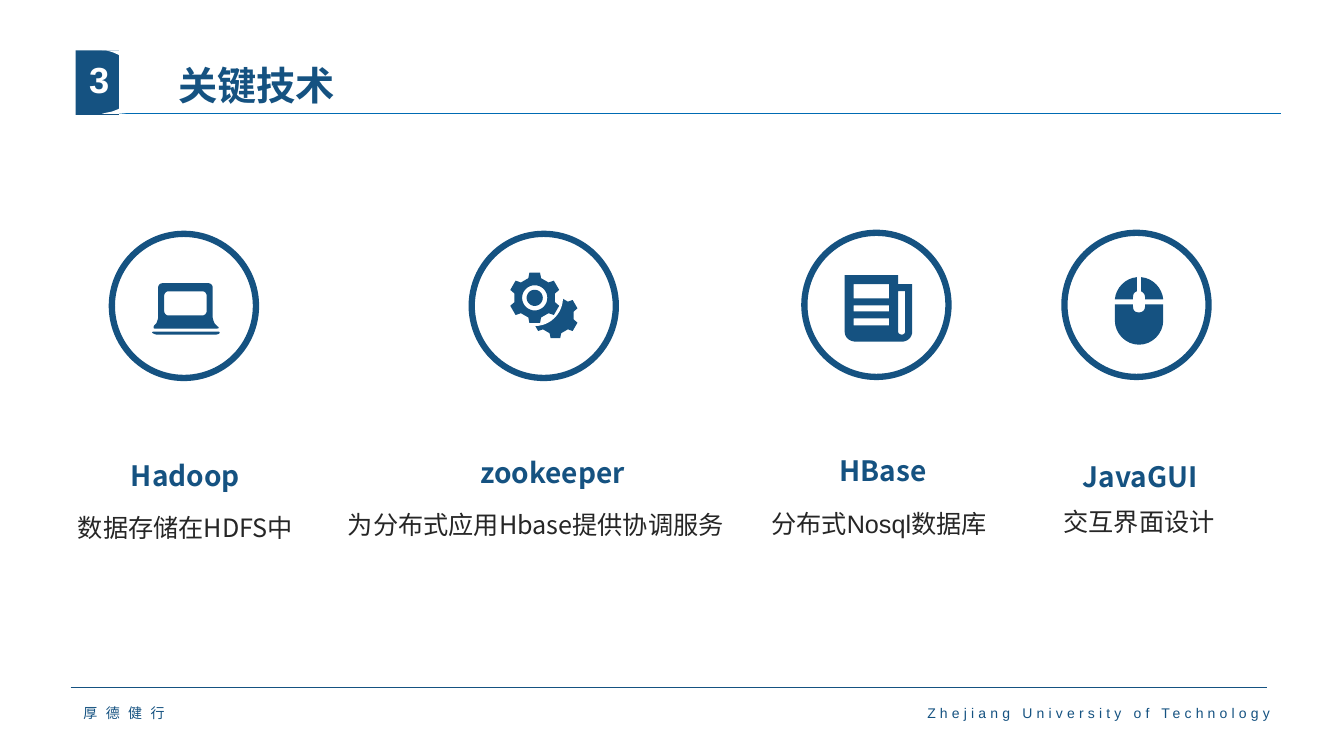
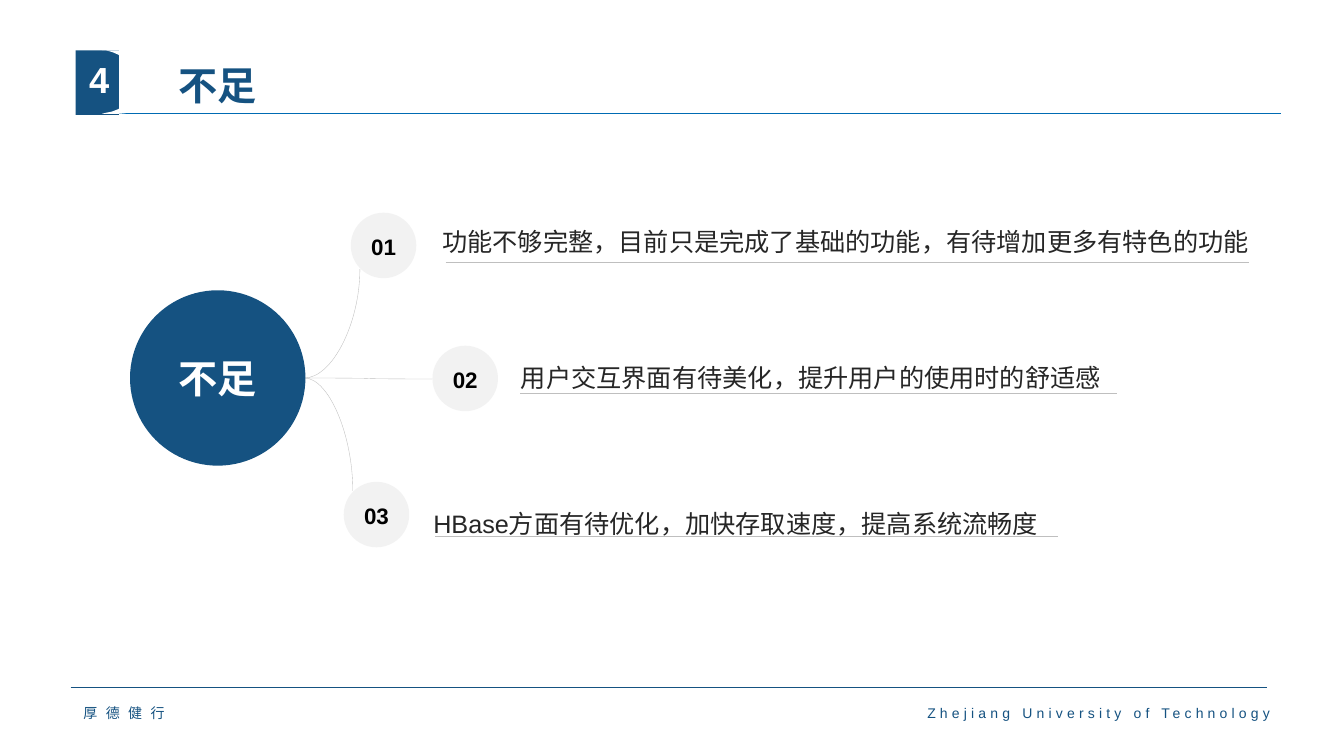
import math
import lxml.etree
import pptx
import pptx.dml.color
import pptx.enum.shapes
import pptx.enum.text
import pptx.oxml.ns
import pptx.util

COLORS = {
    "navy": "155281",
    "blue": "006BB3",
    "white": "FFFFFF",
    "ink": "262626",
    "black": "000000",
    "gray": "BFBFBF",
    "pale": "F2F2F2",
}
SANS = "Arial"
CJK = "Noto Sans CJK SC"
ALIGN = pptx.enum.text.PP_ALIGN
ANCHOR = pptx.enum.text.MSO_ANCHOR
SHAPE = pptx.enum.shapes.MSO_SHAPE
CONNECTOR = pptx.enum.shapes.MSO_CONNECTOR
rgb = {name: pptx.dml.color.RGBColor.from_string(value) for name, value in COLORS.items()}

deck = pptx.Presentation()
deck.slide_height = pptx.util.Inches(7.5)
cell = deck.slide_height // 75
deck.slide_width = int(cell * 133.33)


def add_box(page, spot, text="", size=18, color="ink", font=SANS, bold=False, align=ALIGN.LEFT,
            anchor=ANCHOR.TOP, leading=1.0, tracking=0, side=1, kind=None, fill=None, ring=0):
    spot = [int(cell * number) for number in spot]
    if kind is None:
        box = page.shapes.add_textbox(*spot)
    else:
        box = page.shapes.add_shape(kind, *spot)
        box.shadow.inherit = False
        if fill:
            box.fill.solid()
            box.fill.fore_color.rgb = rgb[fill]
        else:
            box.fill.background()
        if ring:
            box.line.color.rgb = rgb[color]
            box.line.width = pptx.util.Pt(ring)
        else:
            box.line.fill.background()
    if text:
        frame = box.text_frame
        frame.word_wrap = True
        frame.vertical_anchor = anchor
        frame.margin_left = frame.margin_right = int(cell * side)
        frame.text = text
        para = frame.paragraphs[0]
        para.alignment = align
        para.line_spacing = leading
        span = para.runs[0]
        span.font.size = pptx.util.Pt(size)
        span.font.bold = bold
        span.font.color.rgb = rgb[color]
        span.font.name = font
        props = span.font._element
        lxml.etree.SubElement(props, pptx.oxml.ns.qn("a:ea"), typeface=CJK)
        if tracking:
            props.set("spc", str(tracking * 100))


def add_outline(page, contours, fill):
    builder = None
    for contour in contours:
        points = []
        for step in contour:
            if len(step) == 2:
                points.append(step)
                continue
            corners = [points[-1], step[0:2], step[2:4], step[4:6]]
            for tick in range(1, 9):
                t = tick / 8
                weights = [math.comb(3, k) * t**k * (1 - t) ** (3 - k) for k in range(4)]
                points.append([sum(w * c[axis] for w, c in zip(weights, corners)) for axis in (0, 1)])
        points = [(cell * x, cell * y) for x, y in points]
        if builder is None:
            builder = page.shapes.build_freeform(*points[0])
        else:
            builder.move_to(*points[0])
        builder.add_line_segments(points[1:], close=True)
    outline = builder.convert_to_shape()
    outline.shadow.inherit = False
    outline.fill.solid()
    outline.fill.fore_color.rgb = rgb[fill]
    outline.line.fill.background()


shared_rules = [
    ("line", 7.6, 11.2, 127.1, 11.2, "blue", 0.25),
    ("line", 7, 68.2, 125.7, 68.2, "navy", 0.5),
]
branches = [
    ("curvedConnector2", 30.2, 37.5, 35.7, 26.7, "gray", 0.25),
    ("curvedConnector3", 30.2, 37.5, 42.9, 37.6, "gray", 0.25),
    ("curvedConnector2", 30.2, 37.5, 35, 48.7, "gray", 0.25),
]
underlines = [
    ("line", left, row, right, row, "gray", 0.25)
    for left, row, right in [(44.2, 26, 123.9), (51.6, 39, 110.8), (43.2, 53.2, 105)]
]
tab_curve = [
    (10.1, 5), (11.7, 5), (13.7, 5, 15.4, 6.4, 15.4, 8.1), (15.4, 9.9, 13.7, 11.3, 11.7, 11.3),
    (10.1, 11.3), (10.5, 11.2), (12.2, 11, 13.5, 9.7, 13.5, 8.1), (13.5, 6.6, 12.2, 5.3, 10.5, 5),
]

pages = []
for number, title, own_rules in [("3", "关键技术", []), ("4", "不足", branches + underlines)]:
    page = deck.slides.add_slide(deck.slide_layouts[6])
    pages.append(page)
    for geometry, x1, y1, x2, y2, color, width in shared_rules + own_rules:
        kind = CONNECTOR.STRAIGHT if geometry == "line" else CONNECTOR.CURVE
        rule = page.shapes.add_connector(kind, *(int(cell * n) for n in (x1, y1, x2, y2)))
        rule.line.color.rgb = rgb[color]
        rule.line.width = pptx.util.Pt(width)
        props = rule._element.spPr
        props.find(pptx.oxml.ns.qn("a:prstGeom")).set("prst", geometry)
        lxml.etree.SubElement(props, pptx.oxml.ns.qn("a:effectLst"))
    add_box(page, (7.5, 5, 4.3, 6.4), kind=SHAPE.RECTANGLE, fill="navy")
    add_outline(page, [tab_curve], "white")
    add_box(page, (16.7, 4.9, 109.3, 6.4), title, 28, "navy", bold=True,
            anchor=ANCHOR.BOTTOM, leading=0.9)
    add_box(page, (7.3, 5.9, 5.1, 4.7), number, 25.9, "white", bold=True,
            align=ALIGN.CENTER, anchor=ANCHOR.MIDDLE, leading=0.8)
    add_box(page, (7.3, 69.5, 29.7, 2.4), "厚德健行", 10, "navy", CJK,
            anchor=ANCHOR.MIDDLE, tracking=6)
    add_box(page, (85, 69.5, 41, 2.4), "Zhejiang University of Technology", 10, "navy",
            align=ALIGN.RIGHT, anchor=ANCHOR.MIDDLE, tracking=3, side=0)

tech_page, gaps_page = pages

technologies = [
    ("Hadoop", "数据存储在HDFS中", CJK, 11.1, 23.2, (-2.2, 44.2), (1.3, 49.6)),
    ("zookeeper", "为分布式应用Hbase提供协调服务", CJK, 46.8, 23.2, (34.2, 43.9), (32.2, 49.3)),
    ("HBase", "分布式Nosql数据库", SANS, 79.8, 23.1, (67, 43.7), (70.1, 49.2)),
    ("JavaGUI", "交互界面设计", SANS, 105.6, 23.1, (92.5, 44.3), (95.9, 49)),
]
for name, role, font, left, top, name_spot, role_spot in technologies:
    role_width = 41.9 if name == "zookeeper" else 34.2
    add_box(tech_page, (left, top, 14.3, 14.3), color="navy", kind=SHAPE.OVAL, ring=4.5)
    add_box(tech_page, (*name_spot, 41.2, 4.8), name, 20, "navy", CJK, True, ALIGN.CENTER, leading=1.25)
    add_box(tech_page, (*role_spot, role_width, 4.5), role, font=font, align=ALIGN.CENTER, leading=1.25)

laptop = [
    [(15.4, 32.9), (21.5, 32.9), (21.7, 32.9, 21.8, 32.9, 21.8, 33),
     (21.8, 33.1, 21.6, 33.2, 21.4, 33.2), (15.6, 33.2),
     (15.4, 33.2, 15.2, 33.1, 15.1, 33), (15.1, 32.9, 15.2, 32.9, 15.4, 32.9)],
    [(16.7, 28.9), (16.5, 28.9, 16.3, 29.1, 16.3, 29.3), (16.3, 30.9),
     (16.3, 31.1, 16.5, 31.3, 16.7, 31.3), (20.1, 31.3),
     (20.3, 31.3, 20.5, 31.1, 20.5, 30.9), (20.5, 29.3), (20.5, 29.1, 20.3, 28.9, 20.1, 28.9)],
    [(16.1, 28.1), (20.7, 28.1), (20.9, 28.1, 21.1, 28.3, 21.1, 28.5), (21.1, 31.4),
     (21.1, 31.6, 21.2, 31.9, 21.3, 32.1), (21.6, 32.4), (21.8, 32.5, 21.7, 32.6, 21.5, 32.6),
     (15.4, 32.6), (15.2, 32.6, 15.2, 32.5, 15.3, 32.3), (15.5, 32.1),
     (15.6, 31.9, 15.7, 31.6, 15.7, 31.4), (15.7, 28.5), (15.7, 28.3, 15.9, 28.1, 16.1, 28.1)],
]
newspaper = [
    [(89.1, 28.2), (89.1, 27.3), (83.8, 27.3), (83.8, 32.9), (83.8, 33.5, 84.3, 33.9, 84.9, 33.9),
     (89.5, 33.9), (90, 33.9, 90.5, 33.5, 90.5, 32.9), (90.5, 28.2)],
    [(89.8, 32.9), (89.8, 33.1, 89.6, 33.2, 89.5, 33.2), (89.3, 33.2, 89.1, 33.1, 89.1, 32.9),
     (89.1, 28.9), (89.8, 28.9)],
]
for top, bottom in [(28.2, 29.6), (30.3, 30.9), (31.6, 32.3)]:
    newspaper.append([(84.7, top), (88.2, top), (88.2, bottom), (84.7, bottom)])
mouse = [
    [(110.6, 30.2), (112.4, 30.2), (112.4, 30.4), (112.4, 30.8, 112.6, 31, 113, 31),
     (113.3, 31, 113.6, 30.8, 113.6, 30.4), (113.6, 30.2), (115.4, 30.2), (115.4, 31.8),
     (115.4, 33.1, 114.3, 34.2, 113, 34.2), (111.7, 34.2, 110.6, 33.1, 110.6, 31.8)],
    [(113.2, 27.5), (114.4, 27.6, 115.3, 28.6, 115.4, 29.7), (113.6, 29.7), (113.6, 29.5),
     (113.6, 29.2, 113.4, 29, 113.2, 28.9)],
    [(112.8, 27.5), (112.8, 28.9), (112.5, 29, 112.4, 29.2, 112.4, 29.5), (112.4, 29.7),
     (110.6, 29.7), (110.7, 28.6, 111.6, 27.6, 112.8, 27.5)],
]
gears = []
for x, y, tip, valley, radii in [(55.1, 31.3, 2.3, 1.85, []), (53.05, 29.55, 2.55, 2.05, [1.25, 0.8])]:
    rims = [[
        (x + radius * math.sin(math.radians(angle)), y - radius * math.cos(math.radians(angle)))
        for tooth in range(0, 360, 60)
        for angle, radius in [(tooth - 18, valley), (tooth - 12, tip), (tooth + 12, tip), (tooth + 18, valley)]
    ]]
    for radius in radii:
        rims.append([
            (x + radius * math.cos(math.radians(angle)), y + radius * math.sin(math.radians(angle)))
            for angle in range(0, 360, 10)
        ])
    gears.append(rims)
back_gear, front_gear = gears

add_outline(tech_page, back_gear, "navy")
add_box(tech_page, (50.25, 26.75, 5.6, 5.6), kind=SHAPE.OVAL, fill="white")
for icon in (front_gear, laptop, newspaper, mouse):
    add_outline(tech_page, icon, "navy")

add_box(gaps_page, (12.9, 28.8, 17.4, 17.4), "不足", 28, "white", bold=True, align=ALIGN.CENTER,
        anchor=ANCHOR.MIDDLE, kind=SHAPE.OVAL, fill="navy")
gaps = [
    ("功能不够完整，目前只是完成了基础的功能，有待增加更多有特色的功能", (34.8, 21.1), (42.9, 21.4, 89.3, 4.7)),
    ("用户交互界面有待美化，提升用户的使用时的舒适感", (42.9, 34.3), (50.7, 34.9, 66.2, 2.7)),
    ("HBase方面有待优化，加快存取速度，提高系统流畅度", (34.1, 47.8), (42, 49.3, 67.9, 2.9)),
]
for order, (gap, node_spot, gap_spot) in enumerate(gaps, 1):
    add_box(gaps_page, (*node_spot, 6.5, 6.5), f"{order:02}", 16, "black", bold=True, align=ALIGN.CENTER,
            anchor=ANCHOR.MIDDLE, leading=1.1, kind=SHAPE.OVAL, fill="pale")
    add_box(gaps_page, gap_spot, gap, leading=1.2)

deck.save("out.pptx")
